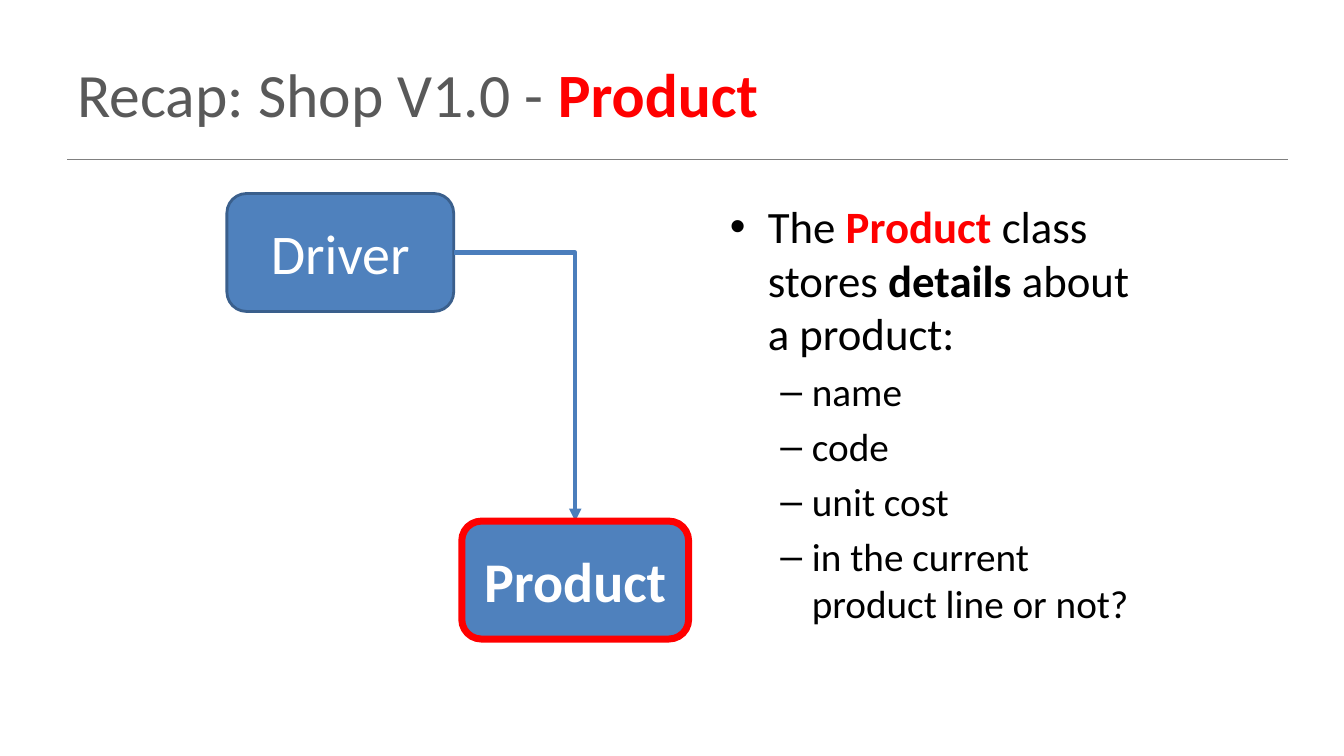
from lxml import etree
from pptx import Presentation
from pptx.dml.color import RGBColor
from pptx.enum.shapes import MSO_CONNECTOR, MSO_SHAPE
from pptx.enum.text import MSO_ANCHOR, MSO_AUTO_SIZE, PP_ALIGN
from pptx.oxml.ns import qn
from pptx.util import Inches, Pt

COLORS = {
    "title": "595959", "accent": "FF0000", "text": "000000", "rule": "808080",
    "box": "4F81BD", "box_edge": "3A5F8C", "arrow": "4B7EBC", "box_text": "FFFFFF",
}
FONT = "Calibri"
SLIDE_WIDTH, SLIDE_HEIGHT = 13.33, 7.5
BOX_WIDTH, BOX_HEIGHT = 2.25, 1.17


def color(key):
    return RGBColor.from_string(COLORS[key])


def add_runs(paragraph, runs, size):
    """Add (text, colour key, bold) runs."""
    for text, key, bold in runs:
        run = paragraph.add_run()
        run.text = text
        run.font.name = FONT
        run.font.size = Pt(size)
        run.font.bold = bold
        run.font.color.rgb = color(key)


def place(shape, left, top, width, height):
    shape.left, shape.top = Inches(left), Inches(top)
    shape.width, shape.height = Inches(width), Inches(height)


def add_line(slide, kind, start, end, key, width):
    line = slide.shapes.add_connector(kind, *map(Inches, start + end))
    line.line.color.rgb = color(key)
    line.line.width = Pt(width)
    etree.SubElement(line._element.spPr, qn("a:effectLst"))
    return line


def add_heading(slide, left, top, width, height):
    title = slide.shapes.title
    place(title, left, top, width, height)
    frame = title.text_frame
    frame.auto_size = MSO_AUTO_SIZE.NONE
    frame.vertical_anchor = MSO_ANCHOR.MIDDLE
    heading = frame.paragraphs[0]
    heading.alignment = PP_ALIGN.LEFT
    add_runs(heading, [("Recap: Shop V1.0 - ", "title", False),
                       ("Product", "accent", True)], 44)
    rule_y = top + height + 0.03
    add_line(slide, MSO_CONNECTOR.STRAIGHT, (left, rule_y),
             (left + 12.11, rule_y), "rule", 1)


def add_details(slide, left, top, width, height):
    body = slide.placeholders[1]
    place(body, left, top, width, height)
    frame = body.text_frame
    frame.auto_size = MSO_AUTO_SIZE.NONE
    frame.word_wrap = True
    intro = frame.paragraphs[0]
    intro.space_before = Pt(0)
    add_runs(intro, [
        ("The ", "text", False), ("Product", "accent", True),
        (" class stores ", "text", False), ("details", "text", True),
        (" about a product:", "text", False),
    ], 32)
    for field in ("name", "code", "unit cost", "in the current product line or not?"):
        detail = frame.add_paragraph()
        detail.level = 1
        add_runs(detail, [(field, "text", False)], 28)


def add_class_box(slide, name, left, top, edge, edge_width, bold):
    box = slide.shapes.add_shape(
        MSO_SHAPE.ROUNDED_RECTANGLE,
        *map(Inches, (left, top, BOX_WIDTH, BOX_HEIGHT)))
    box.shadow.inherit = False
    box.fill.solid()
    box.fill.fore_color.rgb = color("box")
    box.line.color.rgb = color(edge)
    box.line.width = Pt(edge_width)
    box.text_frame.vertical_anchor = MSO_ANCHOR.MIDDLE
    label = box.text_frame.paragraphs[0]
    label.alignment = PP_ALIGN.CENTER
    add_runs(label, [(name, "box_text", bold)], 40)
    return box


def add_class_diagram(slide, left, top, width, height):
    """Put Driver at the top left and Product at the bottom right of the area."""
    product_left = left + width - BOX_WIDTH
    product_top = top + height - BOX_HEIGHT
    driver = add_class_box(slide, "Driver", left, top, "box_edge", 2, False)
    arrow = add_line(slide, MSO_CONNECTOR.ELBOW,
                     (left + BOX_WIDTH, top + BOX_HEIGHT / 2),
                     (product_left + BOX_WIDTH / 2, product_top), "arrow", 3)
    product = add_class_box(slide, "Product", product_left, product_top,
                            "accent", 5, True)
    arrow.begin_connect(driver, 3)
    arrow.end_connect(product, 0)
    arrow._element.spPr.find(qn("a:prstGeom")).set("prst", "bentConnector2")
    etree.SubElement(arrow.line._get_or_add_ln(), qn("a:tailEnd"), type="triangle")


def main():
    deck = Presentation()
    deck.slide_width, deck.slide_height = Inches(SLIDE_WIDTH), Inches(SLIDE_HEIGHT)
    slide = deck.slides.add_slide(deck.slide_layouts[1])
    margin = SLIDE_WIDTH * 0.05
    content_top = 1.92
    add_heading(slide, margin, SLIDE_HEIGHT * 0.04, SLIDE_WIDTH * 0.9, 1.25)
    add_details(slide, 7.14, content_top, 4.17, SLIDE_HEIGHT * 0.66)
    add_class_diagram(slide, 2.25, content_top, 4.58, 4.42)
    deck.save("out.pptx")


if __name__ == "__main__":
    main()
